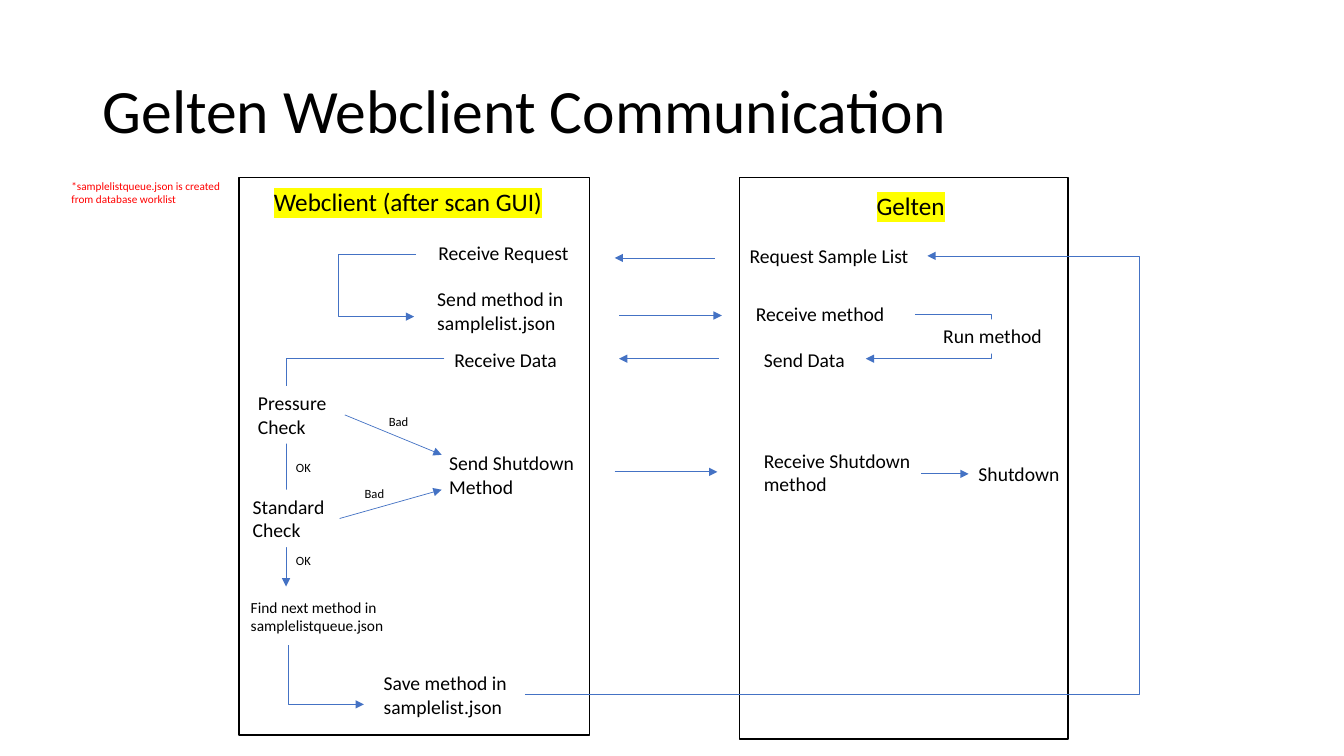
from pptx import Presentation
from pptx.dml.color import RGBColor
from pptx.enum.shapes import MSO_CONNECTOR as Link, MSO_SHAPE as Kind
from pptx.enum.text import MSO_ANCHOR as Anchor
from pptx.oxml.ns import qn
from pptx.util import Cm, Pt
from lxml.etree import SubElement

rgb = RGBColor.from_string
deck = Presentation()
deck.slide_width, deck.slide_height = Cm(33.87), Cm(19.05)
slide = deck.slides.add_slide(deck.slide_layouts[6])
shapes = slide.shapes


def label(words, x, y, w, h, size=14, color="000000", mark=None, fill=None):
    box = shapes.add_textbox(Cm(x), Cm(y), Cm(w), Cm(h))
    if fill:
        box.fill.solid()
        box.fill.fore_color.rgb = rgb(fill)
    box.text_frame.word_wrap = True
    run = box.text_frame.paragraphs[0].add_run()
    run.text = words
    run.font.size = Pt(size)
    run.font.color.rgb = rgb(color)
    if mark:
        light = SubElement(run.font._element, qn("a:highlight"))
        SubElement(light, qn("a:srgbClr"), val=mark)
    run.font.name = "Calibri"
    return box


def arrow(x1, y1, x2, y2, bend=None):
    kind = Link.STRAIGHT if bend is None else Link.ELBOW
    line = shapes.add_connector(kind, Cm(x1), Cm(y1), Cm(x2), Cm(y2))
    line.line.color.rgb = rgb("4472C4")
    line.line.width = Pt(0.5)
    props = line._element.spPr
    SubElement(props.find(qn("a:ln")), qn("a:tailEnd"), type="triangle")
    SubElement(props, qn("a:effectLst"))
    if bend is not None:
        geom = props.find(qn("a:prstGeom"))
        if bend == x2:  # a single corner above the end
            geom.set("prst", "bentConnector2")
        else:
            part = round((bend - x1) / (x2 - x1) * 100000)
            SubElement(geom.find(qn("a:avLst")), qn("a:gd"),
                       name="adj1", fmla=f"val {part}")
    return line


# Title
title = label("Gelten Webclient Communication", 2.34, 1.02, 29.21, 3.68, 44)
title.text_frame.vertical_anchor = Anchor.MIDDLE
title.text_frame.paragraphs[0].line_spacing = 0.9

# Frames of the two sides
for x, w, h in [(6.02, 8.84, 14.05), (18.64, 8.28, 14.15)]:
    frame = shapes.add_shape(Kind.RECTANGLE, Cm(x), Cm(4.47), Cm(w), Cm(h))
    frame.shadow.inherit = False
    frame.fill.background()
    frame.line.color.rgb = rgb("000000")
    frame.line.width = Pt(1)

# Bent arrows, behind the steps
for x1, y1, x2, y2, bend in [
    (10.49, 6.4, 10.44, 7.98, 8.53),
    (23.06, 7.92, 21.82, 9.04, 24.99),
    (11.2, 9.04, 7.21, 14.78, 7.21),
    (7.26, 16.26, 9.17, 17.75, 7.26),
    (13.23, 17.5, 23.37, 6.45, 28.7),
]:
    arrow(x1, y1, x2, y2, bend)

# Headings and side note
label("Webclient (after scan GUI)", 6.65, 4.57, 8.03, 1.02, 18, mark="FFFF00")
label("Gelten", 21.84, 4.67, 5.82, 1.02, 18, mark="FFFF00")
label("*samplelistqueue.json is created from database worklist",
      1.55, 4.39, 4.7, 0.94, 8, "FF0000")

# Steps of one or two lines
one, two = 0.86, 1.45
for words, x, y, w, h in [
    ("Receive Request", 10.8, 5.94, 4.01, one),
    ("Send method in samplelist.json", 10.77, 7.11, 4.65, two),
    ("Receive Data", 11.2, 8.64, 3.2, one),
    ("Send Shutdown Method", 11.07, 11.25, 4.09, two),
    ("Save method in samplelist.json", 9.42, 16.79, 3.81, two),
    ("Request Sample List", 18.64, 6.02, 4.7, one),
    ("Receive method", 18.8, 7.49, 4.27, one),
    ("Send Data", 19, 8.64, 3.63, one),
    ("Receive Shutdown method", 19, 11.18, 5.41, two),
]:
    label(words, x, y, w, h)
label("Find next method in samplelistqueue.json", 6.07, 14.94, 4.6, 1.19, 11)
halt = label("Shutdown", 24.41, 11.51, 2.74, one)

# Steps that cover a line
label("Run method", 23.52, 8.05, 3.1, one, fill="FFFFFF")
press = label("Pressure Check", 6.25, 9.73, 2.44, two, fill="FFFFFF")
norm = label("Standard Check", 6.12, 12.34, 2.44, two, fill="FFFFFF")

# Results of the checks
for words, x, y in [("Bad", 9.55, 10.31), ("OK", 7.21, 11.46),
                    ("Bad", 8.94, 12.12), ("OK", 7.21, 13.82)]:
    label(words, x, y, 1.85, 0.64, 9)

# Messages between the sides
for x1, x2, y in [(18.01, 15.49, 6.5), (15.6, 18.19, 7.95),
                  (18.11, 15.6, 9.04), (15.49, 18.08, 11.89)]:
    arrow(x1, y, x2, y)

# Arrows joined to a step
arrow(8.69, 10.45, 11.13, 11.46).begin_connect(press, 3)
arrow(8.56, 13.06, 11.13, 12.34).begin_connect(norm, 3)
arrow(23.22, 11.94, 24.41, 11.94).end_connect(halt, 1)

deck.save("out.pptx")
